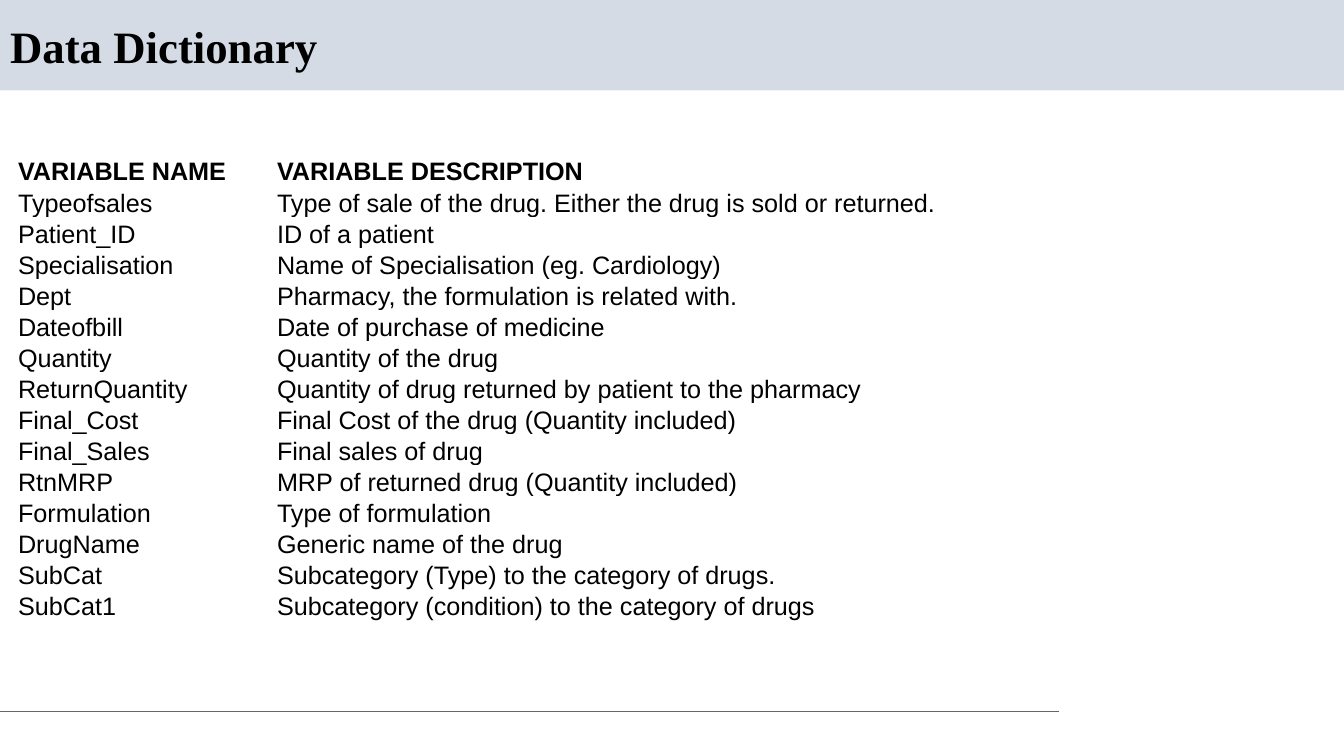
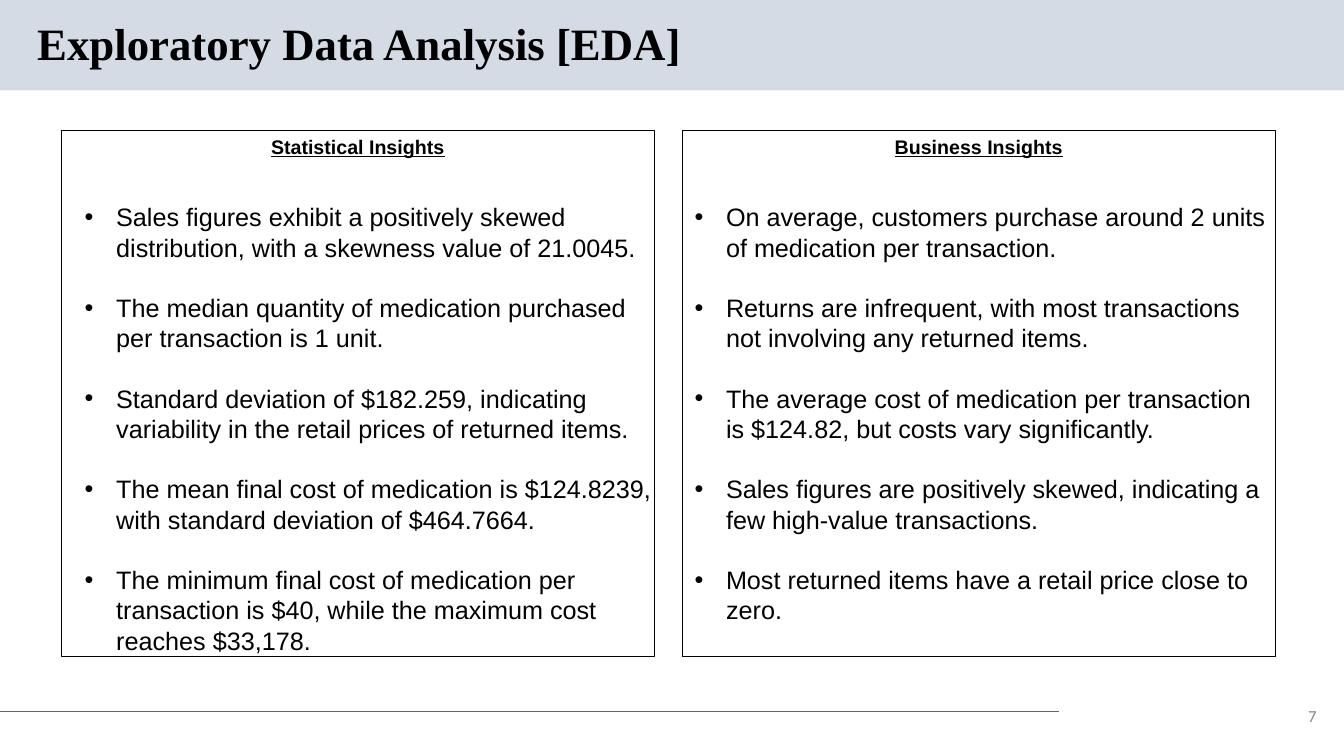
from lxml.etree import SubElement
from pptx import Presentation
from pptx.dml.color import RGBColor
from pptx.enum.shapes import MSO_CONNECTOR as Connector, MSO_SHAPE as Shape
from pptx.enum.text import MSO_ANCHOR as Anchor, MSO_AUTO_SIZE as AutoSize, PP_ALIGN as Align
from pptx.oxml.ns import qn
from pptx.util import Pt

BLACK = RGBColor(0x00, 0x00, 0x00)
BAND = RGBColor(0xD5, 0xDB, 0xE5)
RULE = RGBColor(0x66, 0x66, 0x66)
NUMBER_GREY = RGBColor(0x88, 0x88, 0x88)
SLIDE_WIDTH, SLIDE_HEIGHT = 960, 540
TITLE_ONLY, COMPARISON = 5, 4

# Variable name, description, columns the description spans
VARIABLES = [
    ("VARIABLE NAME", "VARIABLE DESCRIPTION", 2),
    ("Typeofsales", "Type of sale of the drug. Either the drug is sold or returned.", 4),
    ("Patient_ID", "ID of a patient", 1),
    ("Specialisation", "Name of Specialisation (eg. Cardiology)", 3),
    ("Dept", "Pharmacy, the formulation is related with.", 3),
    ("Dateofbill", "Date of purchase of medicine", 2),
    ("Quantity", "Quantity of the drug", 2),
    ("ReturnQuantity", "Quantity of drug returned by patient to the pharmacy", 4),
    ("Final_Cost", "Final Cost of the drug (Quantity included)", 3),
    ("Final_Sales", "Final sales of drug", 2),
    ("RtnMRP", "MRP of returned drug (Quantity included)", 3),
    ("Formulation", "Type of formulation", 2),
    ("DrugName", "Generic name of the drug", 2),
    ("SubCat", "Subcategory (Type) to the category of drugs.", 3),
    ("SubCat1", "Subcategory (condition) to the category of drugs", 4),
]
COLUMN_WIDTHS = [185, 131, 131, 163.5, 163.5]
ROW_HEIGHT = 22.2

# Heading, panel left, list left, list width, points
PANELS = [
    ("Statistical Insights", 43.9, 53.3, 420, [
        "Sales figures exhibit a positively skewed distribution, with a skewness value of 21.0045.",
        "The median quantity of medication purchased per transaction is 1 unit.",
        "Standard deviation of $182.259, indicating variability in the retail prices of returned items.",
        "The mean final cost of medication is $124.8239, with standard deviation of $464.7664.",
        "The minimum final cost of medication per transaction is $40, while the maximum cost reaches $33,178.",
    ]),
    ("Business Insights", 487.4, 488.9, 424, [
        "On average, customers purchase around 2 units of medication per transaction.",
        "Returns are infrequent, with most transactions not involving any returned items.",
        "The average cost of medication per transaction is $124.82, but costs vary significantly.",
        "Sales figures are positively skewed, indicating a few high-value transactions.",
        "Most returned items have a retail price close to zero.",
    ]),
]
PANEL_TOP, PANEL_WIDTH, PANEL_HEIGHT = 92.9, 423.4, 375.8
LIST_TOP, LIST_HEIGHT = 140.4, 328
LINE_PITCH, BULLET_INDENT = 21.6, 22.5


def style(paragraph, size, name="Arial", color=BLACK, bold=False, align=Align.LEFT):
    font = paragraph.font
    font.size, font.name, font.bold = Pt(size), name, bold
    font.color.rgb = color
    paragraph.alignment = align
    paragraph.space_before = Pt(0)


def place(shape, left, top, width, height, anchor=Anchor.TOP):
    """Move a text shape and return its text frame, set not to resize."""
    shape.left, shape.top = Pt(left), Pt(top)
    shape.width, shape.height = Pt(width), Pt(height)
    frame = shape.text_frame
    frame.word_wrap, frame.auto_size = True, AutoSize.NONE
    frame.vertical_anchor = anchor
    return frame


def move_band_and_rule_to_master(slide, master):
    band = slide.shapes.add_shape(Shape.RECTANGLE, 0, 0, Pt(SLIDE_WIDTH), Pt(64.6))
    band.shadow.inherit = False
    band.fill.solid()
    band.fill.fore_color.rgb = BAND
    band.line.fill.background()
    rule = slide.shapes.add_connector(Connector.STRAIGHT, 0, Pt(508.3), Pt(756.5), Pt(508.3))
    rule.line.color.rgb = RULE
    rule.line.width = Pt(0.75)
    SubElement(rule.element.spPr, qn("a:effectLst"))
    for position, shape in enumerate((band, rule), start=2):
        master.shapes.element.insert(position, shape.element)


def add_titled_slide(presentation, layout, title, left, top, width):
    slide = presentation.slides.add_slide(presentation.slide_layouts[layout])
    frame = place(slide.shapes.title, left, top, width, 42.5, Anchor.MIDDLE)
    frame.text = title
    paragraph = frame.paragraphs[0]
    style(paragraph, 32, "Times New Roman", bold=True)
    paragraph.line_spacing = 0.9
    return slide


def add_dictionary(slide):
    table = slide.shapes.add_table(
        len(VARIABLES), len(COLUMN_WIDTHS), Pt(12.2), Pt(110.9),
        Pt(sum(COLUMN_WIDTHS)), Pt(ROW_HEIGHT * len(VARIABLES))).table
    table.first_row = table.horz_banding = False
    for column, width in zip(table.columns, COLUMN_WIDTHS):
        column.width = Pt(width)
    for row, (name, description, span) in enumerate(VARIABLES):
        table.rows[row].height = Pt(ROW_HEIGHT)
        table.cell(row, 0).text = name
        table.cell(row, 1).text = description
        for cell in table.rows[row].cells:
            cell.fill.background()
            cell.margin_left = cell.margin_right = cell.margin_top = Pt(0.72)
            cell.margin_bottom = 0
            cell.vertical_anchor = Anchor.BOTTOM
            style(cell.text_frame.paragraphs[0], 18, bold=row == 0)
        if span > 1:
            table.cell(row, 1).merge(table.cell(row, span))


def add_panel(slide, heading_holder, list_holder, panel):
    heading, left, list_left, list_width, points = panel
    border = slide.shapes.add_shape(
        Shape.RECTANGLE, Pt(left), Pt(PANEL_TOP), Pt(PANEL_WIDTH), Pt(PANEL_HEIGHT))
    border.shadow.inherit = False
    border.fill.background()
    border.line.color.rgb = BLACK
    border.line.width = Pt(0.75)

    frame = place(heading_holder, left, PANEL_TOP, PANEL_WIDTH, 24.5)
    frame.text = heading
    style(frame.paragraphs[0], 14, bold=True, align=Align.CENTER)
    frame.paragraphs[0].font.underline = True

    frame = place(list_holder, list_left, LIST_TOP, list_width, LIST_HEIGHT)
    frame.text = "\n".join(points)
    for paragraph in frame.paragraphs:
        style(paragraph, 18)
        paragraph.line_spacing = Pt(LINE_PITCH)
        paragraph.space_after = Pt(LINE_PITCH)
        properties = paragraph._p.get_or_add_pPr()
        properties.set("marL", str(Pt(BULLET_INDENT)))
        properties.set("indent", str(-Pt(BULLET_INDENT)))


def add_page_number(slide, number):
    frame = place(slide.shapes.add_textbox(0, 0, 0, 0), 916.6, 499.7, 31, 23, Anchor.MIDDLE)
    frame.text = number
    style(frame.paragraphs[0], 12, "Calibri", NUMBER_GREY, align=Align.RIGHT)


def main():
    presentation = Presentation()
    presentation.slide_width, presentation.slide_height = Pt(SLIDE_WIDTH), Pt(SLIDE_HEIGHT)

    dictionary = add_titled_slide(presentation, TITLE_ONLY, "Data Dictionary", 0, 13.7, 828)
    move_band_and_rule_to_master(dictionary, presentation.slide_master)
    add_dictionary(dictionary)

    analysis = add_titled_slide(
        presentation, COMPARISON, "Exploratory Data Analysis [EDA]", 19.4, 11.5, 728)
    holders = list(analysis.placeholders)[1:]
    for heading_holder, list_holder, panel in zip(holders[::2], holders[1::2], PANELS):
        add_panel(analysis, heading_holder, list_holder, panel)
    add_page_number(analysis, "7")

    presentation.save("out.pptx")


if __name__ == "__main__":
    main()
